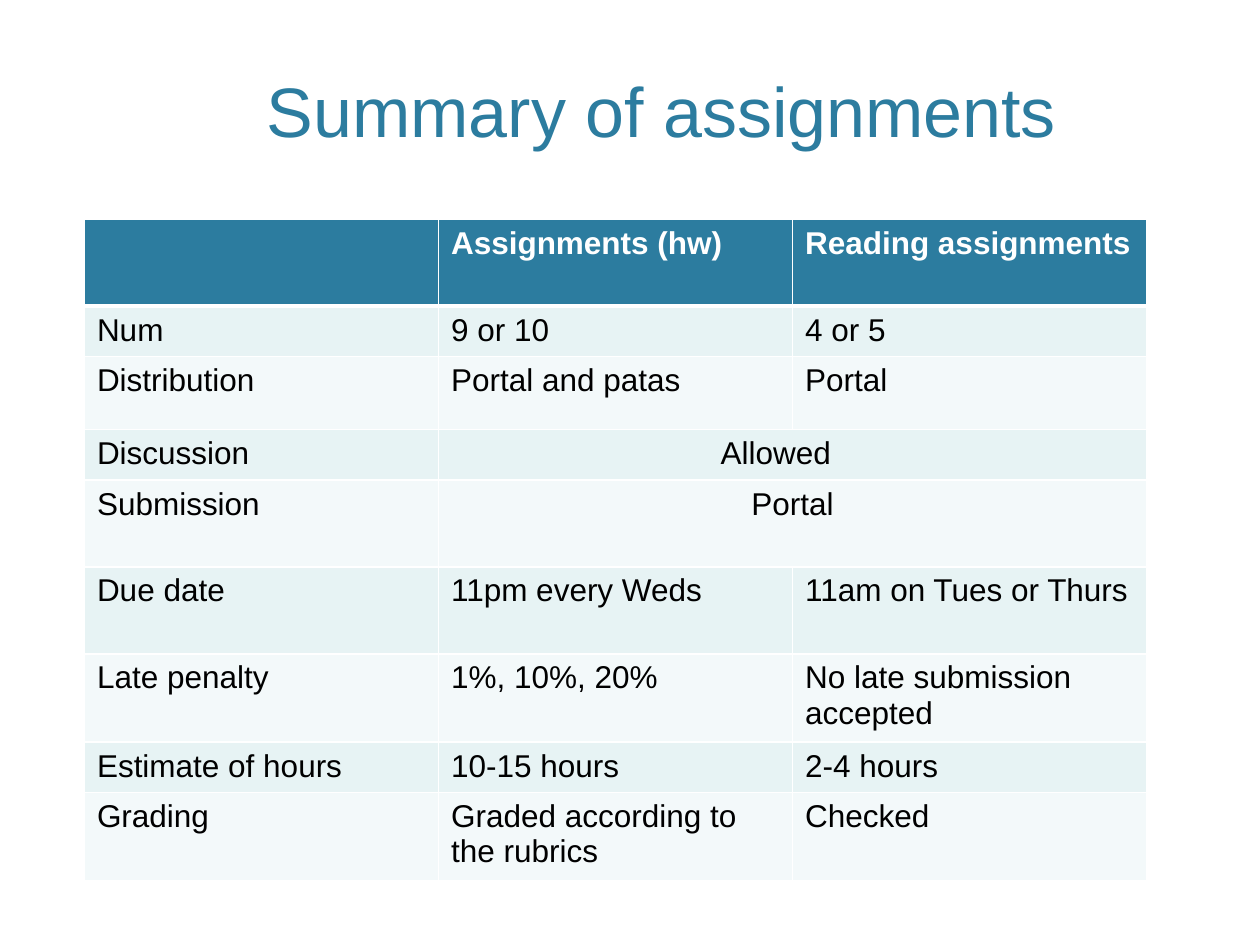
from dataclasses import dataclass

from lxml.etree import SubElement
from pptx import Presentation
from pptx.dml.color import RGBColor
from pptx.enum.text import MSO_ANCHOR as Anchor, PP_ALIGN as Align
from pptx.oxml.ns import qn
from pptx.util import Inches, Pt

TITLE = "Summary of assignments"
HEADER = ("", "Assignments (hw)", "Reading assignments")
# A row with two entries has its second cell merged across both columns.
BODY = [
    ("Num", "9 or 10", "4 or 5"),
    ("Distribution", "Portal and patas", "Portal"),
    ("Discussion", "Allowed"),
    ("Submission", "Portal"),
    ("Due date", "11pm every Weds", "11am on Tues or Thurs"),
    ("Late penalty", "1%, 10%, 20%", "No late submission accepted"),
    ("Estimate of hours", "10-15 hours", "2-4 hours"),
    ("Grading", "Graded according to the rubrics", "Checked"),
]
SHORT, MEDIUM, TALL = 0.4, 0.58, 0.69
ROW_HEIGHTS = [TALL, SHORT, MEDIUM, SHORT, TALL, TALL, TALL, SHORT, TALL]
COLUMN_WIDTH = 2.81
TABLE_LEFT, TABLE_TOP = 0.67, 1.74
ALLOWED_INDENT = 2.24


@dataclass(frozen=True)
class Theme:
    """Colours, font and sizes of the slide."""
    accent: str = "2C7C9F"
    bands: tuple = ("E7F3F4", "F3F9FA")
    white: str = "FFFFFF"
    black: str = "000000"
    font: str = "Arial"
    title_size: int = 40
    table_size: int = 18
    rule: int = 1
    header_rule: int = 3


THEME = Theme()


def add_text(frame, text, size, color, bold=False, align=Align.LEFT):
    """Write one run into the first paragraph of a text frame."""
    frame.word_wrap = True
    paragraph = frame.paragraphs[0]
    paragraph.alignment = align
    run = paragraph.add_run()
    run.text = text
    run.font.name = THEME.font
    run.font.size = Pt(size)
    run.font.bold = bold
    run.font.color.rgb = RGBColor.from_string(color)


def add_borders(cell, top, bottom):
    """Draw white cell borders; top and bottom are widths in points."""
    properties = cell._tc.get_or_add_tcPr()
    widths = {"lnL": THEME.rule, "lnR": THEME.rule, "lnT": top, "lnB": bottom}
    for position, (tag, width) in enumerate(widths.items()):
        line = SubElement(properties, qn(f"a:{tag}"), w=str(Pt(width)))
        fill = SubElement(line, qn("a:solidFill"))
        SubElement(fill, qn("a:srgbClr"), val=THEME.white)
        properties.insert(position, line)


def add_title(slide):
    """Add the centred title."""
    box = slide.shapes.add_textbox(Inches(0.5), 0, Inches(9.5), Inches(1.25))
    box.text_frame.vertical_anchor = Anchor.BOTTOM
    add_text(box.text_frame, TITLE, THEME.title_size, THEME.accent,
             align=Align.CENTER)


def add_summary_table(slide):
    """Add the table with a coloured header and banded rows."""
    rows = [HEADER, *BODY]
    columns = len(HEADER)
    table = slide.shapes.add_table(
        len(rows), columns, Inches(TABLE_LEFT), Inches(TABLE_TOP),
        Inches(columns * COLUMN_WIDTH), Inches(sum(ROW_HEIGHTS))).table
    for column in table.columns:
        column.width = Inches(COLUMN_WIDTH)
    for index, (texts, height) in enumerate(zip(rows, ROW_HEIGHTS)):
        table.rows[index].height = Inches(height)
        header = index == 0
        fill = THEME.accent if header else THEME.bands[(index - 1) % 2]
        for column in range(columns):
            cell = table.cell(index, column)
            cell.fill.solid()
            cell.fill.fore_color.rgb = RGBColor.from_string(fill)
            add_borders(cell,
                        THEME.header_rule if index == 1 else THEME.rule,
                        THEME.header_rule if header else THEME.rule)
        if len(texts) < columns:
            table.cell(index, 1).merge(table.cell(index, columns - 1))
        for column, text in enumerate(texts):
            if not text:
                continue
            cell = table.cell(index, column)
            indented = text == "Allowed"
            if indented:
                cell.margin_left = Inches(ALLOWED_INDENT)
            centred = cell.is_merge_origin and not indented
            add_text(cell.text_frame, text, THEME.table_size,
                     THEME.white if header else THEME.black, bold=header,
                     align=Align.CENTER if centred else Align.LEFT)


def main():
    """Build and save the slide."""
    presentation = Presentation()
    presentation.slide_width = Inches(10)
    presentation.slide_height = Inches(7.5)
    slide = presentation.slides.add_slide(presentation.slide_layouts[6])
    add_title(slide)
    add_summary_table(slide)
    presentation.save("out.pptx")


main()
